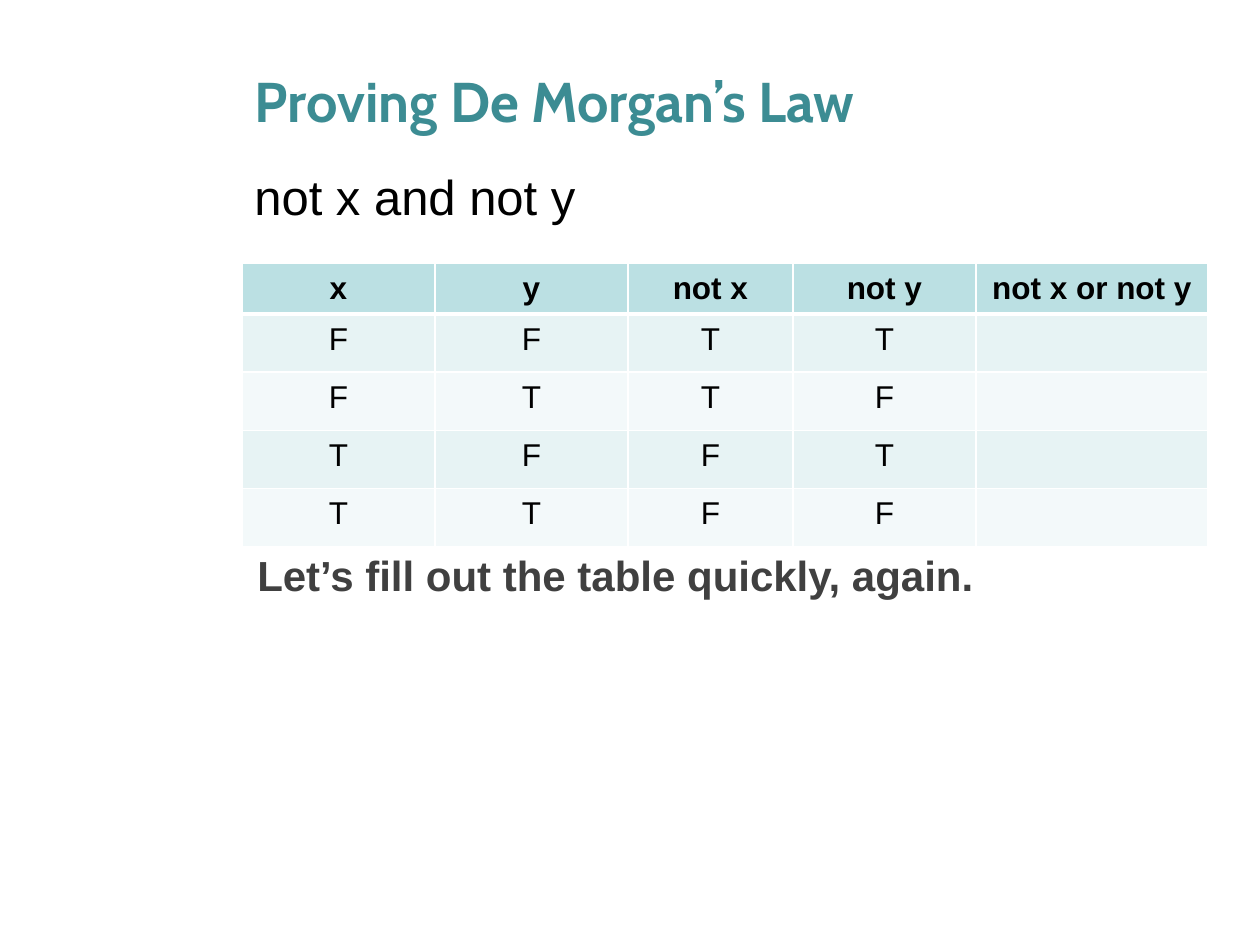
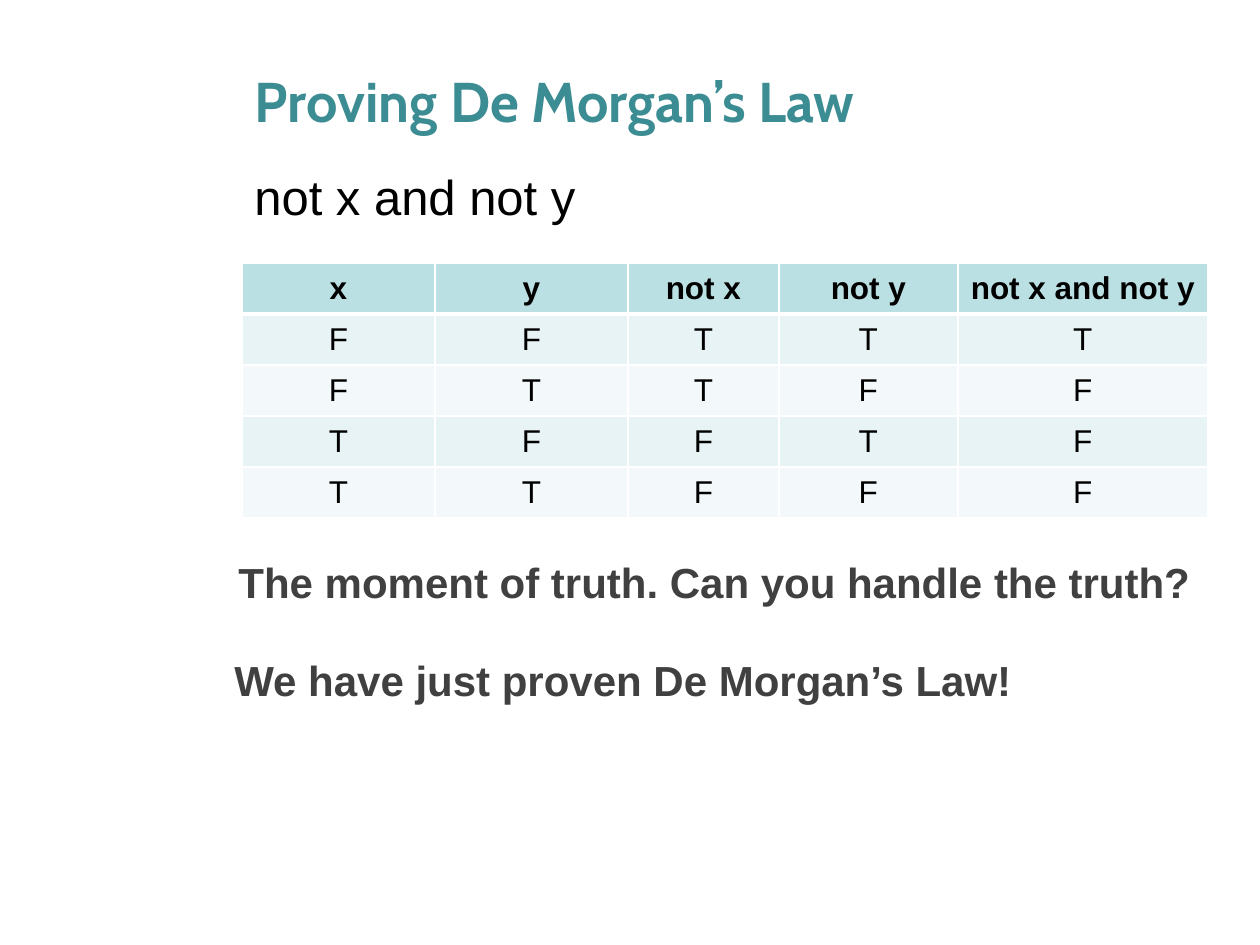
from dataclasses import dataclass

from lxml.etree import SubElement
from pptx import Presentation
from pptx.dml.color import RGBColor
from pptx.enum.text import MSO_ANCHOR as Anchor, MSO_AUTO_SIZE as AutoSize, PP_ALIGN as Align
from pptx.oxml.ns import qn
from pptx.util import Emu, Pt

PX_PER_INCH = 126
TEAL = RGBColor(0x3C, 0x8C, 0x93)
BLACK = RGBColor(0x00, 0x00, 0x00)
CHARCOAL = RGBColor(0x40, 0x40, 0x40)
WHITE = RGBColor(0xFF, 0xFF, 0xFF)
HEADER_FILL = RGBColor(0xBB, 0xE0, 0xE3)
BAND_FILLS = (RGBColor(0xE7, 0xF3, 0xF4), RGBColor(0xF3, 0xF9, 0xFA))
TITLE_FONT = "Cabin"
BODY_FONT = "Arial"
TITLE = "Proving De Morgan’s Law"
EXPRESSION = "not x and not y"
TIGHT_SPACING = 0.8
CAPTION_GAP = Pt(33)
ROW_HEIGHT = 51
TEXT_INSET = 9
CELL_INSET = 14


@dataclass(frozen=True)
class Box:
    left: int
    top: int
    width: int
    height: int


@dataclass(frozen=True)
class Caption:
    box: Box
    lines: tuple[tuple[str, Align], ...]


@dataclass(frozen=True)
class ProofSlide:
    headers: tuple[str, ...]
    column_widths: tuple[int, ...]
    truth_rows: tuple[str, ...]
    caption: Caption


TITLE_BOX = Box(242, 42, 966, 116)
EXPRESSION_BOX = Box(242, 158, 966, 89)
TABLE_BOX = Box(242, 263, 966, 5 * ROW_HEIGHT)

PROOF_SLIDES = (
    ProofSlide(
        ("x", "y", "not x", "not y", "not x or not y"),
        (193, 193, 165, 183, 232),
        ("FFTT", "FTTF", "TFFT", "TTFF"),
        Caption(Box(242, 550, 747, 53),
                (("Let’s fill out the table quickly, again.", Align.CENTER),)),
    ),
    ProofSlide(
        ("x", "y", "not x", "not y", "not x and not y"),
        (193, 193, 151, 179, 250),
        ("FFTTT", "FTTFF", "TFFTF", "TTFFF"),
        Caption(Box(222, 557, 985, 155),
                (("The moment of truth. Can you handle the truth?", Align.CENTER),
                 ("We have just proven De Morgan’s Law!", Align.LEFT))),
    ),
)


def px(length: int) -> Emu:
    return Emu(round(length * 914400 / PX_PER_INCH))


def place(box: Box) -> tuple[Emu, Emu, Emu, Emu]:
    return px(box.left), px(box.top), px(box.width), px(box.height)


def format_runs(paragraph, size: int, color: RGBColor, bold: bool = False,
                font_name: str = BODY_FONT) -> None:
    for run in paragraph.runs:
        run.font.name = font_name
        run.font.size = Pt(size)
        run.font.bold = bold
        run.font.color.rgb = color


def draw_title(slide) -> None:
    title = slide.shapes.title
    title.left, title.top, title.width, title.height = place(TITLE_BOX)
    frame = title.text_frame
    frame.text = TITLE
    frame.auto_size = AutoSize.NONE
    frame.vertical_anchor = Anchor.MIDDLE
    paragraph = frame.paragraphs[0]
    paragraph.alignment = Align.LEFT
    format_runs(paragraph, 32, TEAL, True, TITLE_FONT)


def add_text_frame(slide, box: Box):
    frame = slide.shapes.add_textbox(*place(box)).text_frame
    frame.word_wrap = True
    frame.margin_top = px(TEXT_INSET)
    return frame


def draw_expression(slide) -> None:
    frame = add_text_frame(slide, EXPRESSION_BOX)
    frame.text = EXPRESSION
    format_runs(frame.paragraphs[0], 28, BLACK)


def draw_caption(slide, caption: Caption) -> None:
    frame = add_text_frame(slide, caption.box)
    for index, (text, alignment) in enumerate(caption.lines):
        paragraph = frame.add_paragraph() if index else frame.paragraphs[0]
        paragraph.text = text
        paragraph.alignment = alignment
        paragraph.line_spacing = TIGHT_SPACING
        if index:
            paragraph.space_before = CAPTION_GAP
        format_runs(paragraph, 24, CHARCOAL, True)


def add_borders(cell, top: int, bottom: int) -> None:
    properties = cell._tc.get_or_add_tcPr()
    for side, points in (("L", 1), ("R", 1), ("T", top), ("B", bottom)):
        line = SubElement(properties, qn(f"a:ln{side}"), w=str(Pt(points)))
        fill = SubElement(line, qn("a:solidFill"))
        SubElement(fill, qn("a:srgbClr"), val=str(WHITE))


def draw_truth_table(slide, proof: ProofSlide) -> None:
    rows = (proof.headers, *proof.truth_rows)
    table = slide.shapes.add_table(len(rows), len(proof.headers), *place(TABLE_BOX)).table
    table.horz_banding = False
    for column, width in zip(table.columns, proof.column_widths):
        column.width = px(width)
    for row_index, values in enumerate(rows):
        table.rows[row_index].height = px(ROW_HEIGHT)
        is_header = row_index == 0
        fill_color = HEADER_FILL if is_header else BAND_FILLS[(row_index - 1) % 2]
        for column_index in range(len(proof.headers)):
            cell = table.cell(row_index, column_index)
            add_borders(cell, 3 if row_index == 1 else 1, 3 if is_header else 1)
            cell.fill.solid()
            cell.fill.fore_color.rgb = fill_color
            cell.margin_top = px(CELL_INSET)
            paragraph = cell.text_frame.paragraphs[0]
            if column_index < len(values):
                paragraph.text = values[column_index]
            paragraph.alignment = Align.CENTER
            paragraph.line_spacing = TIGHT_SPACING
            format_runs(paragraph, 18, BLACK, is_header)


def main() -> None:
    presentation = Presentation()
    presentation.slide_width = px(1260)
    presentation.slide_height = px(945)
    title_only = presentation.slide_layouts[5]
    for proof in PROOF_SLIDES:
        slide = presentation.slides.add_slide(title_only)
        draw_title(slide)
        draw_expression(slide)
        draw_truth_table(slide, proof)
        draw_caption(slide, proof.caption)
    presentation.save("out.pptx")


if __name__ == "__main__":
    main()
